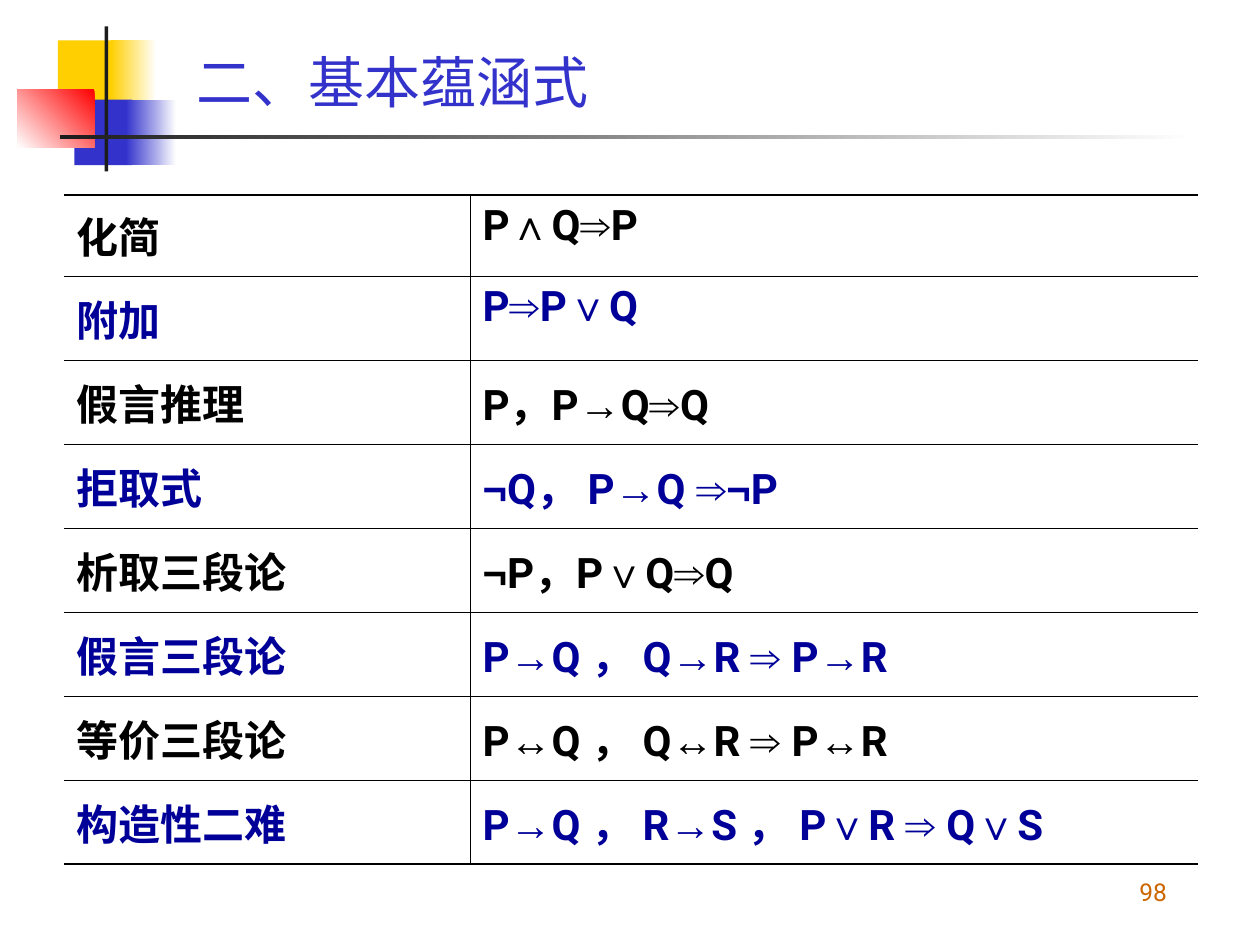
from collections import namedtuple
from dataclasses import dataclass
from itertools import groupby

from lxml import etree
from pptx import Presentation
from pptx import util as u
from pptx.dml.color import RGBColor
from pptx.enum import shapes, text
from pptx.oxml.ns import qn

Box = namedtuple("Box", "left top width height")
COLUMNS, ROWS = 1000, 750  # the slide grid; every Box is counted in its cells
CELL = u.Inches(10) // COLUMNS


@dataclass(frozen=True)
class Theme:
    body_font: str = "Roboto"
    symbol_font: str = "Arial"
    title_size: int = 32
    rule_size: int = 24
    number_size: int = 14
    title: str = "3333CC"
    number: str = "CC6600"
    odd_row: str = "000000"
    even_row: str = "000099"
    border: str = "000000"
    yellow: str = "FFCF01"
    blue: str = "3333CC"
    red: str = "FF0000"
    dark: str = "1C1C1C"
    white: str = "FFFFFF"
    thin: float = 0.45
    thick: float = 1.08


THEME = Theme()
SYMBOLS = "∧∨⇒→↔¬"
IMPLICATIONS = [
    ("化简", "P∧Q⇒P"),
    ("附加", "P⇒P∨Q"),
    ("假言推理", "P，P→Q⇒Q"),
    ("拒取式", "¬Q， P→Q ⇒¬P"),
    ("析取三段论", "¬P，P∨Q⇒Q"),
    ("假言三段论", "P→Q ， Q→R ⇒ P→R"),
    ("等价三段论", "P↔Q ， Q↔R ⇒ P↔R"),
    ("构造性二难", "P→Q ， R→S ， P∨R ⇒ Q∨S"),
]
TOP_ALIGNED_FORMULAS = 2


def emu(box):
    return [round(length * CELL) for length in box]


def apply(target, formats):
    for name, value in formats.items():
        setattr(target, name, value)


def write(paragraph, wording, size, color, bold=False):
    """Add runs, giving logic symbols their own font."""
    for is_symbol, letters in groupby(wording, lambda letter: letter in SYMBOLS):
        run = paragraph.add_run()
        run.text = "".join(letters)
        apply(run.font, {
            "name": THEME.symbol_font if is_symbol else THEME.body_font,
            "size": u.Pt(size),
            "bold": bold,
        })
        run.font.color.rgb = RGBColor.from_string(color)


def add_block(slide, box, colors, angle=180):
    """Add a rectangle with one colour, or a gradient between two."""
    block = slide.shapes.add_shape(shapes.MSO_SHAPE.RECTANGLE, *emu(box))
    block.shadow.inherit = False
    block.line.fill.background()
    if len(colors) == 1:
        block.fill.solid()
        block.fill.fore_color.rgb = RGBColor.from_string(colors[0])
        return
    block.fill.gradient()
    block.fill.gradient_angle = angle
    for stop, color in zip(block.fill.gradient_stops, colors):
        stop.color.rgb = RGBColor.from_string(color)


def add_ornament(slide, box):
    t = THEME
    blocks = [
        (Box(32, 11, 48, 52), [t.yellow], 180),
        (Box(74, 11, 36, 52), [t.white, t.yellow], 180),
        (Box(45, 58, 46, 52), [t.blue], 180),
        (Box(86, 58, 40, 52), [t.white, t.blue], 180),
        (Box(0, 50, 61, 46), [t.red, t.white], 225),
        (Box(69, 0, 3, box.height), [t.dark], 180),
        (Box(34, 86, box.width - 34, 3), [t.white, t.dark], 180),
    ]
    for part, colors, angle in blocks:
        placed = part._replace(left=box.left + part.left, top=box.top + part.top)
        add_block(slide, placed, colors, angle)


def add_line_of_text(slide, box, wording, size, color, anchor, align):
    frame = slide.shapes.add_textbox(*emu(box)).text_frame
    apply(frame, {"word_wrap": True, "vertical_anchor": anchor})
    frame.paragraphs[0].alignment = align
    write(frame.paragraphs[0], wording, size, color)


def set_borders(cell, widths):
    """Draw each side with its width in points; None leaves it open."""
    properties = cell._tc.get_or_add_tcPr()
    for side in "LRTB":
        width = widths.get(side)
        line = etree.SubElement(properties, qn(f"a:ln{side}"))
        if width is None:
            etree.SubElement(line, qn("a:noFill"))
            continue
        line.set("w", str(u.Pt(width)))
        fill = etree.SubElement(line, qn("a:solidFill"))
        etree.SubElement(fill, qn("a:srgbClr"), val=THEME.border)


def add_implications(slide, box):
    last = len(IMPLICATIONS) - 1
    first_height, row_height = 64, (box.height - 64) / last
    name_width = 322
    table = slide.shapes.add_table(last + 1, 2, *emu(box)).table
    apply(table, {"first_row": False, "horz_banding": False})
    for column, width in zip(table.columns, (name_width, box.width - name_width)):
        column.width = round(width * CELL)

    for row, entry in enumerate(IMPLICATIONS):
        table.rows[row].height = round((row_height if row else first_height) * CELL)
        color = THEME.even_row if row % 2 else THEME.odd_row
        for column, wording in enumerate(entry):
            cell = table.cell(row, column)
            at_top = column == 1 and row < TOP_ALIGNED_FORMULAS
            cell.vertical_anchor = text.MSO_ANCHOR.TOP if at_top else text.MSO_ANCHOR.MIDDLE
            set_borders(cell, {
                "L" if column else "R": THEME.thin,
                "T": THEME.thin if row else THEME.thick,
                "B": THEME.thick if row == last else THEME.thin,
            })
            cell.fill.background()
            write(cell.text_frame.paragraphs[0], wording, THEME.rule_size, color, bold=True)


def main():
    deck = Presentation()
    deck.slide_width, deck.slide_height = COLUMNS * CELL, ROWS * CELL
    slide = deck.slides.add_slide(deck.slide_layouts[6])

    add_ornament(slide, Box(14, 21, 934, 115))
    add_implications(slide, Box(51, 155, 900, 531))
    add_line_of_text(slide, Box(146, 30, 804, 69), "二、基本蕴涵式", THEME.title_size,
                     THEME.title, text.MSO_ANCHOR.MIDDLE, text.PP_ALIGN.LEFT)
    add_line_of_text(slide, Box(728, 674, 208, 50), "98", THEME.number_size,
                     THEME.number, text.MSO_ANCHOR.BOTTOM, text.PP_ALIGN.RIGHT)
    deck.save("out.pptx")


if __name__ == "__main__":
    main()
